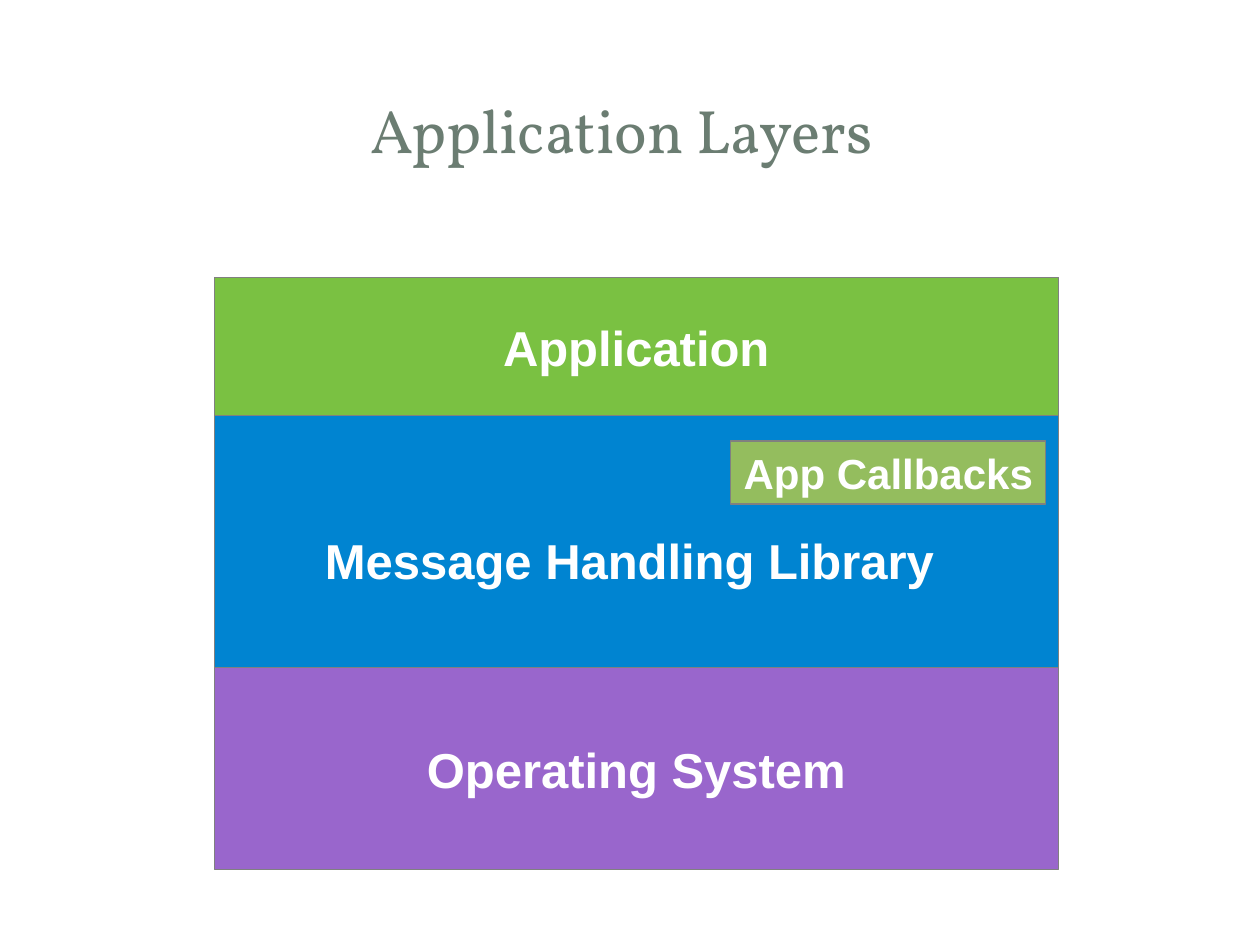
from pptx import Presentation
from pptx.dml.color import RGBColor
from pptx.enum.shapes import MSO_SHAPE
from pptx.enum.text import MSO_ANCHOR, MSO_AUTO_SIZE, PP_ALIGN
from pptx.util import Pt

PX = 9144  # EMU per px, 100 px to the inch

WHITE = RGBColor(0xFF, 0xFF, 0xFF)
SAGE = RGBColor(0x6B, 0x7D, 0x72)
GRAY = RGBColor(0x80, 0x80, 0x80)
GREEN = RGBColor(0x7A, 0xC1, 0x42)
BLUE = RGBColor(0x00, 0x84, 0xD1)
PURPLE = RGBColor(0x99, 0x66, 0xCC)
LIGHT_GREEN = RGBColor(0x94, 0xBD, 0x5E)

# Content: layers from top to bottom as (text, height, fill, extra top inset)
TITLE = "Application Layers "
LAYERS = [
    ("Application", 110, GREEN, 0),
    ("Message Handling Library ", 200, BLUE, 29),
    ("Operating System", 160, PURPLE, 0),
]
CALLBACKS = "App Callbacks"
STACK_LEFT, STACK_TOP, STACK_WIDTH = 170, 220, 670


def box(px):
    return [v * PX for v in px]


def format_text(tf, text, size, font, color, bold=False):
    tf.text = text
    tf.vertical_anchor = MSO_ANCHOR.MIDDLE
    tf.auto_size = MSO_AUTO_SIZE.NONE
    p = tf.paragraphs[0]
    p.alignment = PP_ALIGN.CENTER
    p.font.size = Pt(size)
    p.font.name = font
    p.font.bold = bold
    p.font.color.rgb = color


def add_block(s, text, px, fill, size, drop=0):
    sp = s.shapes.add_shape(MSO_SHAPE.RECTANGLE, *box(px))
    sp.shadow.inherit = False
    sp.fill.solid()
    sp.fill.fore_color.rgb = fill
    sp.line.color.rgb = GRAY
    sp.line.width = Pt(0.75)
    tf = sp.text_frame
    format_text(tf, text, size, "Arial", WHITE, bold=True)
    tf.word_wrap = False
    tf.margin_left = tf.margin_right = 10 * PX
    tf.margin_top, tf.margin_bottom = (5 + drop) * PX, 5 * PX


prs = Presentation()
prs.slide_width, prs.slide_height = box((1000, 750))
s = prs.slides.add_slide(prs.slide_layouts[5])

# Title
title = s.shapes.title
title.left, title.top, title.width, title.height = box((47, 45, 903, 114))
format_text(title.text_frame, TITLE, 35, "Vollkorn", SAGE)

# Stacked layers
top = STACK_TOP
for text, height, fill, drop in LAYERS:
    add_block(s, text, (STACK_LEFT, top, STACK_WIDTH, height), fill, 28, drop)
    top += height

# Callbacks inside the library layer
add_block(s, CALLBACKS, (580, 350, 250, 50), LIGHT_GREEN, 24)

prs.save("out.pptx")
